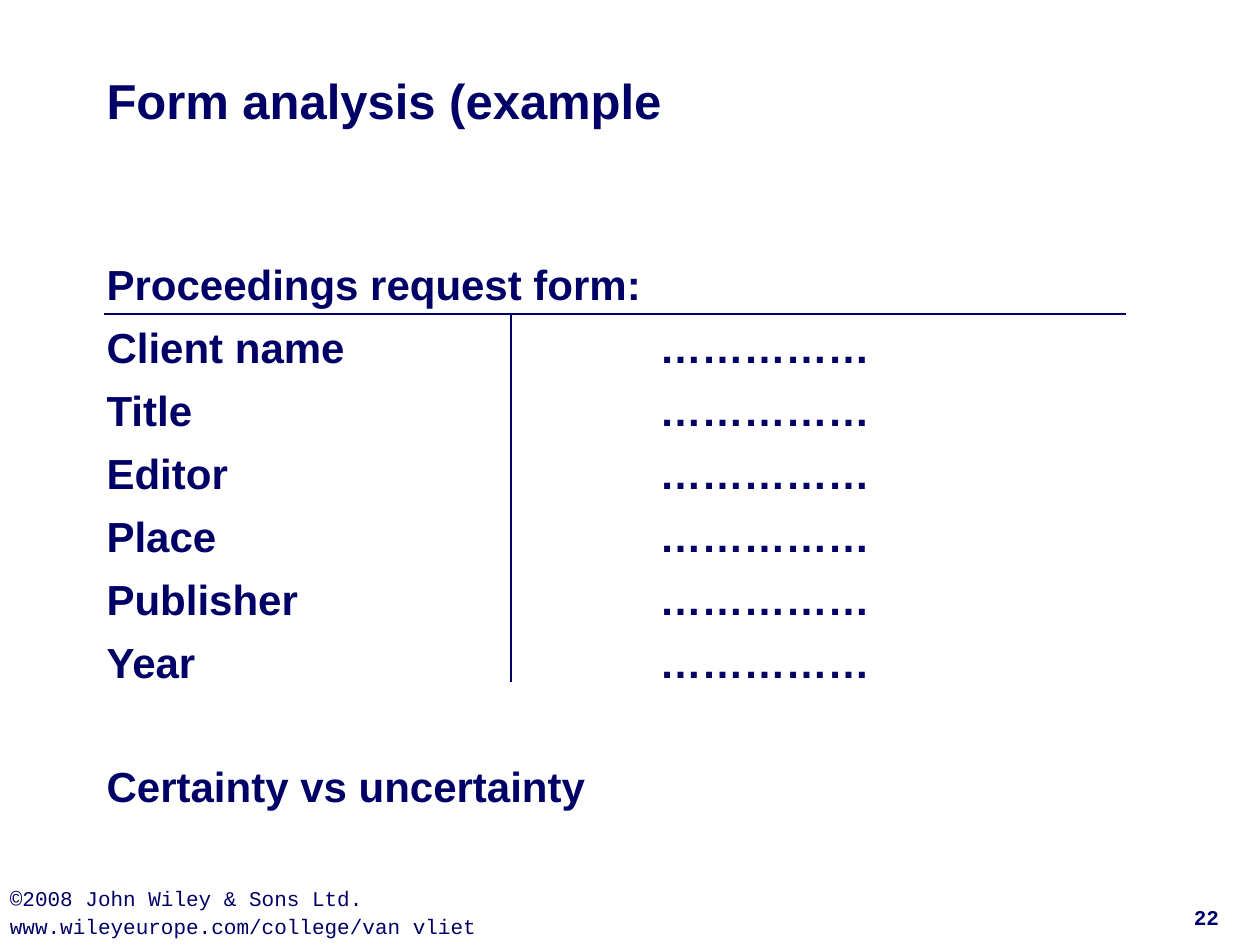
from dataclasses import dataclass

from lxml.etree import SubElement
from pptx import Presentation
from pptx.dml.color import RGBColor
from pptx.enum.shapes import MSO_CONNECTOR
from pptx.enum.text import MSO_ANCHOR, PP_ALIGN
from pptx.oxml.ns import qn
from pptx.util import Cm, Pt

NAVY = RGBColor(0x00, 0x00, 0x66)
DOTS = "……………"
FIELDS = ["Client name", "Title", "Editor", "Place", "Publisher", "Year"]
ROW_GAP = 7.2
LAST_GAP = 42


@dataclass
class Block:
    lines: list[str]
    left: float
    top: float
    width: float
    height: float
    size: float
    face: str = "Arial"
    bold: bool = True
    gap: float = 0
    pad_x: float = 0.25
    pad_y: float = 0.13
    anchor: MSO_ANCHOR = MSO_ANCHOR.TOP
    align: PP_ALIGN = PP_ALIGN.LEFT
    tab: float = 0


@dataclass
class Rule:
    x1: float
    y1: float
    x2: float
    y2: float


def add_tab(para, place: float) -> None:
    tabs = SubElement(para._p.get_or_add_pPr(), qn("a:tabLst"))
    SubElement(tabs, qn("a:tab"), pos=str(Cm(place)), algn="l")


def add_block(slide, block: Block):
    box = slide.shapes.add_textbox(
        Cm(block.left), Cm(block.top), Cm(block.width), Cm(block.height)
    )
    frame = box.text_frame
    frame.word_wrap = True
    frame.vertical_anchor = block.anchor
    frame.margin_left = frame.margin_right = Cm(block.pad_x)
    frame.margin_top = frame.margin_bottom = Cm(block.pad_y)
    frame.text = "\n".join(block.lines)
    for row, para in enumerate(frame.paragraphs):
        if block.tab:
            add_tab(para, block.tab)
        para.alignment = block.align
        if row:
            para.space_before = Pt(block.gap)
        for run in para.runs:
            font = run.font
            font.name = block.face
            font.size = Pt(block.size)
            font.bold = block.bold
            font.color.rgb = NAVY
    return frame


def add_rule(slide, rule: Rule) -> None:
    line = slide.shapes.add_connector(
        MSO_CONNECTOR.STRAIGHT,
        Cm(rule.x1), Cm(rule.y1), Cm(rule.x2), Cm(rule.y2),
    )
    line.line.color.rgb = NAVY
    line.line.width = Pt(0.75)
    SubElement(line._element.spPr, qn("a:effectLst"))


def main() -> None:
    deck = Presentation()
    deck.slide_width, deck.slide_height = Cm(25.4), Cm(19.05)
    slide = deck.slides.add_slide(deck.slide_layouts[6])

    credit = ["©2008 John Wiley & Sons Ltd.", "www.wileyeurope.com/college/van vliet"]
    form = ["Proceedings request form:"]
    form += [f"{field}\t{DOTS}" for field in FIELDS]
    form += ["Certainty vs uncertainty"]

    add_block(slide, Block(credit, 0, 17.66, 15.6, 1.39, 12, "Courier New",
                           False, gap=1.2, pad_x=0.2, pad_y=0.2))
    add_block(slide, Block(["22"], 23.32, 18.14, 2, 0.6, 12, "Courier New",
                           pad_x=0, pad_y=0, anchor=MSO_ANCHOR.BOTTOM,
                           align=PP_ALIGN.CENTER))
    add_block(slide, Block(["Form analysis (example"], 1.9, 0.43, 21.6, 3.18, 28,
                           anchor=MSO_ANCHOR.MIDDLE))
    body = add_block(slide, Block(form, 1.9, 5.08, 21.8, 12.1, 24,
                                  gap=ROW_GAP, tab=11.15))
    body.paragraphs[-1].space_before = Pt(LAST_GAP)

    for rule in (Rule(2.1, 6.33, 22.7, 6.33), Rule(10.3, 6.33, 10.3, 13.74)):
        add_rule(slide, rule)

    deck.save("out.pptx")


if __name__ == "__main__":
    main()
